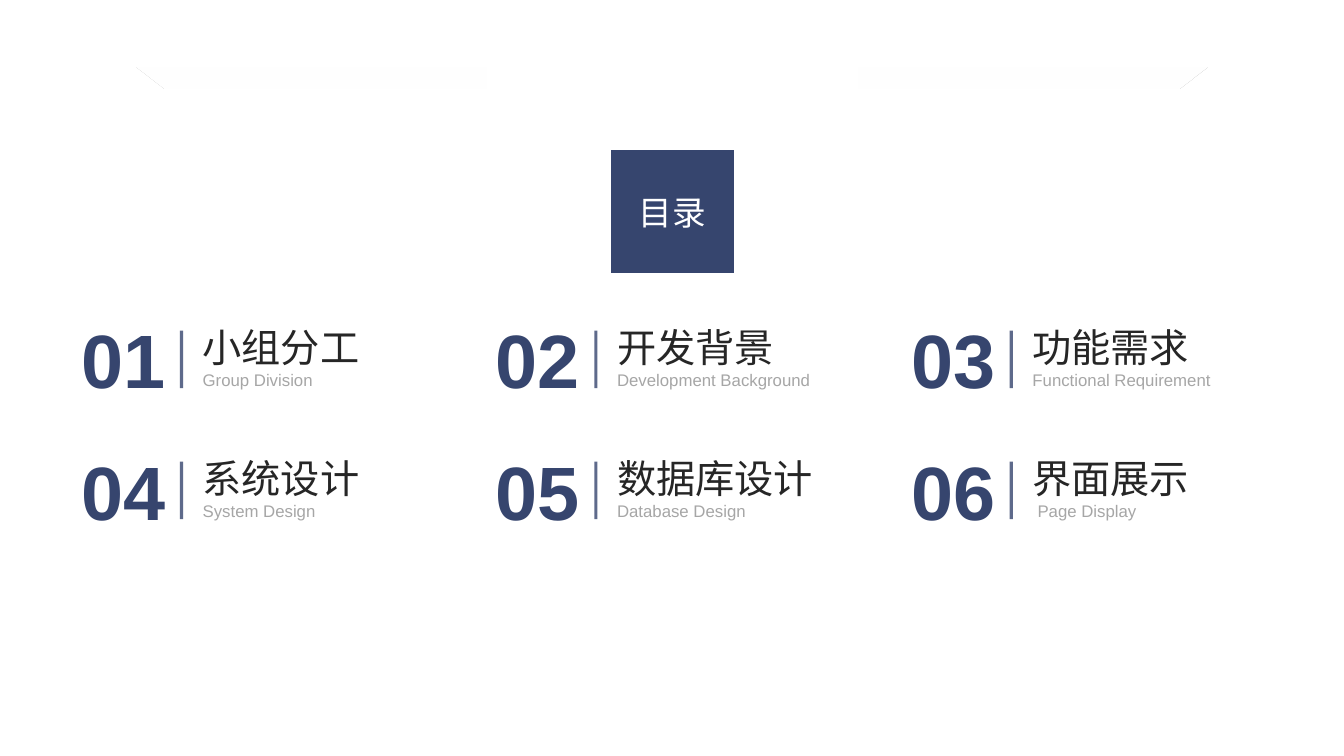
from lxml import etree
from pptx import Presentation
from pptx.dml.color import RGBColor
from pptx.enum import shapes, text
from pptx.oxml.ns import qn
from pptx.util import Inches, Pt

NAVY, WHITE, DARK, GREY = "36456E", "FFFFFF", "262626", "A6A6A6"
LATIN, CJK = "Arial", "Noto Sans CJK SC"


def rgb(value):
    return RGBColor.from_string(value)


def write(frame, words, size, face, color, align=text.PP_ALIGN.LEFT):
    frame.text = words
    frame.word_wrap = True
    paragraph = frame.paragraphs[0]
    paragraph.alignment = align
    font = paragraph.runs[0].font
    font.size, font.name = Pt(size), face
    font.fill.solid()
    font.fill.fore_color.rgb = rgb(color)
    etree.SubElement(font._element, qn("a:ea"), typeface=face)
    return font


prs = Presentation()
prs.slide_width, prs.slide_height = Inches(13.33), Inches(7.5)
slide = prs.slides.add_slide(prs.slide_layouts[5])

# Round heading
heading = slide.shapes.title
heading.left, heading.top = Inches(6.03), Inches(1.46)
heading.width = heading.height = Inches(1.28)
outline = etree.Element(qn("a:prstGeom"), prst="ellipse")
etree.SubElement(outline, qn("a:avLst"))
heading._element.spPr.find(qn("a:xfrm")).addnext(outline)
heading.fill.solid()
heading.fill.fore_color.rgb = rgb(NAVY)
heading.line.color.rgb = rgb(WHITE)
heading.line.width = Pt(4.5)
write(heading.text_frame, "目录", 24, CJK, WHITE, text.PP_ALIGN.CENTER)
heading.text_frame.auto_size = text.MSO_AUTO_SIZE.NONE
heading.text_frame.vertical_anchor = text.MSO_ANCHOR.MIDDLE

# Fading white bands along the top, mirrored
for left, mirrored in ((7.89, False), (1.36, True)):
    band = slide.shapes.add_shape(shapes.MSO_SHAPE.PARALLELOGRAM, Inches(left),
                                  Inches(0.67), Inches(4.09), Inches(0.21))
    band.shadow.inherit = False
    band.adjustments[0] = 1.33
    band.line.fill.background()
    band.fill.gradient()
    band.fill.gradient_angle = 0
    for stop, position, opacity in zip(band.fill.gradient_stops, (0.15, 0.97), (0, 60)):
        stop.position = position
        stop.color.rgb = rgb(WHITE)
        white = stop._gs.find(qn("a:srgbClr"))
        etree.SubElement(white, qn("a:alpha"), val=str(opacity * 1000))
    if mirrored:
        band._element.spPr.find(qn("a:xfrm")).set("flipH", "1")

# Six chapters in three columns; the last value indents the translation
chapters = [
    ("小组分工", "Group Division", 0),
    ("开发背景", "Development Background", 0),
    ("功能需求", "Functional Requirement", 0),
    ("系统设计", "System Design", 0),
    ("数据库设计", "Database Design", 0),
    ("界面展示", "Page Display", 0.05),
]
columns = (0.71, 4.82, 8.94)

for index, (chapter, translation, indent) in enumerate(chapters):
    left = columns[index % 3]
    top = 3.06 + 1.3 * (index // 3)

    # Number with a vertical gradient
    number = slide.shapes.add_textbox(Inches(left), Inches(top), Inches(1.04), Inches(1.01))
    font = write(number.text_frame, f"{index + 1:02}", 54, LATIN, NAVY)
    number.text_frame.auto_size = text.MSO_AUTO_SIZE.SHAPE_TO_FIT_TEXT
    font.bold = True
    font.fill.gradient()
    font.fill.gradient_angle = 270
    for stop, position, color in zip(font.fill.gradient_stops, (0.14, 0.97), (NAVY, WHITE)):
        stop.position = position
        stop.color.rgb = rgb(color)

    # Divider
    x = Inches(left + 1.09)
    divider = slide.shapes.add_connector(shapes.MSO_CONNECTOR.STRAIGHT, x, Inches(top + 0.22),
                                         x, Inches(top + 0.79))
    divider.line.width = Pt(2.25)
    divider.line.color.rgb = rgb(NAVY)
    stroke = divider._element.spPr.find(".//" + qn("a:srgbClr"))
    etree.SubElement(stroke, qn("a:alpha"), val="80000")
    etree.SubElement(divider._element.spPr, qn("a:effectLst"))

    # Chapter name and translation
    for words, shift, drop, width, height, size, face, color, align in (
        (chapter, 0, 0.1, 2.17, 0.57, 28, CJK, DARK, text.PP_ALIGN.LEFT),
        (translation, indent, 0.56, 2.38, 0.3, 12, LATIN, GREY, text.PP_ALIGN.JUSTIFY),
    ):
        label = slide.shapes.add_textbox(Inches(left + 1.3 + shift), Inches(top + drop),
                                         Inches(width), Inches(height))
        write(label.text_frame, words, size, face, color, align)
        label.text_frame.margin_left = 0
        label.text_frame.auto_size = text.MSO_AUTO_SIZE.SHAPE_TO_FIT_TEXT

prs.save("out.pptx")
